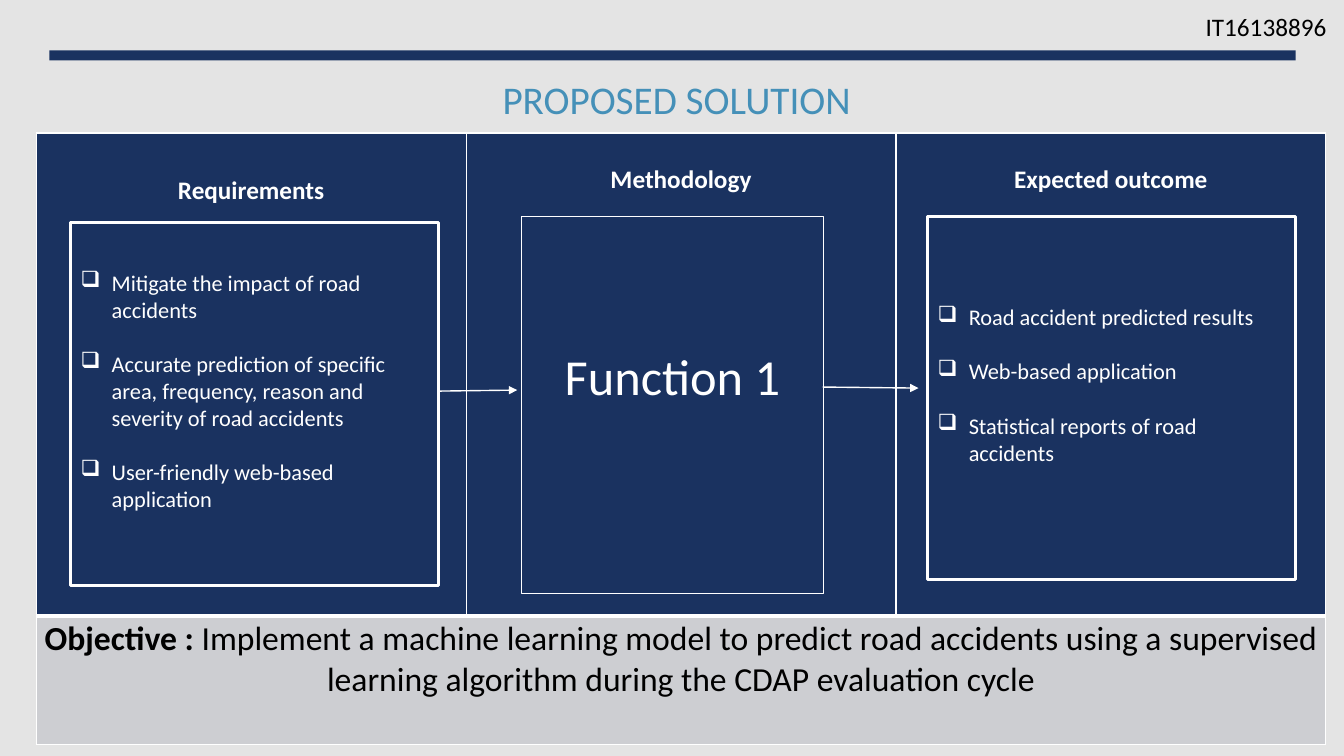
import dataclasses

import lxml.etree
import pptx
import pptx.dml.color
import pptx.enum.shapes
import pptx.enum.text
import pptx.oxml
import pptx.oxml.ns
import pptx.util

Inches = pptx.util.Inches
Pt = pptx.util.Pt
MIDDLE = pptx.enum.text.MSO_ANCHOR.MIDDLE
TOP = pptx.enum.text.MSO_ANCHOR.TOP
CENTER = pptx.enum.text.PP_ALIGN.CENTER
LEFT = pptx.enum.text.PP_ALIGN.LEFT
RECTANGLE = pptx.enum.shapes.MSO_SHAPE.RECTANGLE


@dataclasses.dataclass(frozen=True)
class Theme:
    font: str = "Calibri"
    background: str = "E4E4E4"
    navy: str = "1A3260"
    title: str = "4590B8"
    objective: str = "CDCED2"
    white: str = "FFFFFF"
    black: str = "000000"
    title_size: int = 28
    heading_size: int = 18
    list_size: int = 16
    objective_size: int = 24
    function_size: int = 36


THEME = Theme()


def color(value):
    return pptx.dml.color.RGBColor.from_string(value)


def add_run(paragraph, text, size, text_color, bold=False):
    run = paragraph.add_run()
    run.text = text
    run.font.name = THEME.font
    run.font.size = Pt(size)
    run.font.bold = bold
    run.font.color.rgb = color(text_color)


def set_fill(target, value):
    target.fill.solid()
    target.fill.fore_color.rgb = color(value)


def add_title(slide, text):
    title = slide.shapes.title
    title.left, title.top = Inches(0.68), Inches(0.7)
    title.width, title.height = Inches(12.06), Inches(1.2)
    title.text_frame.vertical_anchor = TOP
    paragraph = title.text_frame.paragraphs[0]
    paragraph.alignment = CENTER
    add_run(paragraph, text, THEME.title_size, THEME.title)


def add_label(slide, text, left, top, width, height):
    box = slide.shapes.add_textbox(Inches(left), Inches(top), Inches(width), Inches(height))
    box.text_frame.word_wrap = True
    add_run(box.text_frame.paragraphs[0], text, THEME.heading_size, THEME.black)


def add_rectangle(slide, left, top, width, height, fill=None, line_width=None):
    shape = slide.shapes.add_shape(
        RECTANGLE, Inches(left), Inches(top), Inches(width), Inches(height))
    shape.shadow.inherit = False
    if fill:
        set_fill(shape, fill)
    else:
        shape.fill.background()
    if line_width:
        shape.line.color.rgb = color(THEME.white)
        shape.line.width = Pt(line_width)
    else:
        shape.line.fill.background()
    return shape


def set_borders(cell, **widths):
    """Draw white cell borders; the XML order is left, right, top, bottom."""
    properties = cell._tc.get_or_add_tcPr()
    for index, side in enumerate("LRTB"):
        width = Pt(widths.get(side, 1))
        border = pptx.oxml.parse_xml(
            f'<a:ln{side} {pptx.oxml.ns.nsdecls("a")} w="{width}"><a:solidFill>'
            f'<a:srgbClr val="{THEME.white}"/></a:solidFill></a:ln{side}>')
        properties.insert(index, border)


def fill_cell(cell, runs, size, text_color, fill, margin_top):
    cell.margin_left = cell.margin_right = cell.margin_bottom = 0
    cell.margin_top = Inches(margin_top)
    cell.vertical_anchor = TOP
    set_fill(cell, fill)
    paragraph = cell.text_frame.paragraphs[0]
    paragraph.alignment = CENTER
    for text, bold in runs:
        add_run(paragraph, text, size, text_color, bold)


def add_solution_table(slide, headings, objective):
    frame = slide.shapes.add_table(
        2, len(headings), Inches(0.36), Inches(1.32), Inches(12.79), Inches(6.07))
    table = frame.table
    for row, height in zip(table.rows, (4.79, 1.28)):
        row.height = Inches(height)
    for column, (heading, margin_top) in enumerate(headings):
        table.columns[column].width = Inches(12.79 / len(headings))
        cell = table.cell(0, column)
        fill_cell(cell, [(heading, True)], THEME.heading_size, THEME.white,
                  THEME.navy, margin_top)
        set_borders(cell, B=3)
        set_borders(table.cell(1, column), T=3)
    objective_cell = table.cell(1, 0)
    objective_cell.merge(table.cell(1, len(headings) - 1))
    fill_cell(objective_cell, objective, THEME.objective_size, THEME.black,
              THEME.objective, 0.03)


def add_checklist(slide, left, top, items):
    box = add_rectangle(slide, left, top, 3.65, 3.6, THEME.navy, 1.75)
    frame = box.text_frame
    frame.word_wrap = True
    frame.vertical_anchor = MIDDLE
    frame.margin_bottom = Inches(0.32)
    for index, item in enumerate(items):
        paragraph = frame.add_paragraph() if index else frame.paragraphs[0]
        paragraph.alignment = LEFT
        if index:
            paragraph.space_before = Pt(19.5)
        properties = paragraph._p.get_or_add_pPr()
        properties.set("marL", str(Inches(0.31)))
        properties.set("indent", str(-Inches(0.31)))
        bullet = lxml.etree.SubElement(properties, pptx.oxml.ns.qn("a:buChar"))
        bullet.set("char", "❑")
        add_run(paragraph, item, THEME.list_size, THEME.white)


def add_function_box(slide, text):
    box = add_rectangle(slide, 5.17, 2.15, 3, 3.74, line_width=0.75)
    frame = box.text_frame
    frame.word_wrap = True
    frame.vertical_anchor = TOP
    frame.margin_top = Inches(1.27)
    paragraph = frame.paragraphs[0]
    paragraph.alignment = CENTER
    add_run(paragraph, text, THEME.function_size, THEME.white)


def add_arrow(slide, start, end):
    arrow = slide.shapes.add_connector(
        pptx.enum.shapes.MSO_CONNECTOR.STRAIGHT,
        *(Inches(value) for value in (*start, *end)))
    arrow.line.color.rgb = color(THEME.white)
    arrow.line.width = Pt(1)
    line = arrow.line._get_or_add_ln()
    lxml.etree.SubElement(line, pptx.oxml.ns.qn("a:tailEnd")).set("type", "triangle")
    lxml.etree.SubElement(arrow._element.spPr, pptx.oxml.ns.qn("a:effectLst"))


def main():
    presentation = pptx.Presentation()
    presentation.slide_width = Inches(13.33)
    presentation.slide_height = Inches(7.5)
    slide = presentation.slides.add_slide(presentation.slide_layouts[5])
    set_fill(slide.background, THEME.background)

    # Header
    add_title(slide, "PROPOSED SOLUTION")
    add_rectangle(slide, 0.49, 0.5, 12.36, 0.1, THEME.navy)
    add_label(slide, "IT16138896", 11.86, 0.06, 1.43, 0.4)

    # Three columns above the objective
    add_solution_table(
        slide,
        [("Requirements", 0.42), ("Methodology", 0.31), ("Expected outcome", 0.31)],
        [("Objective : ", True),
         ("Implement a machine learning model to predict road accidents using a "
          "supervised learning algorithm during the CDAP evaluation cycle", False)])

    # Column contents
    add_function_box(slide, "Function 1")
    add_checklist(slide, 0.7, 2.21, [
        "Mitigate the impact of road accidents",
        "Accurate prediction of specific area, frequency, reason and "
        "severity of road accidents",
        "User-friendly web-based application"])
    add_checklist(slide, 9.2, 2.15, [
        "Road accident predicted results",
        "Web-based application",
        "Statistical reports of road accidents"])

    # Flow from requirements to outcome
    add_arrow(slide, (4.35, 3.88), (5.13, 3.87))
    add_arrow(slide, (8.16, 3.84), (9.11, 3.85))

    presentation.save("out.pptx")


if __name__ == "__main__":
    main()
